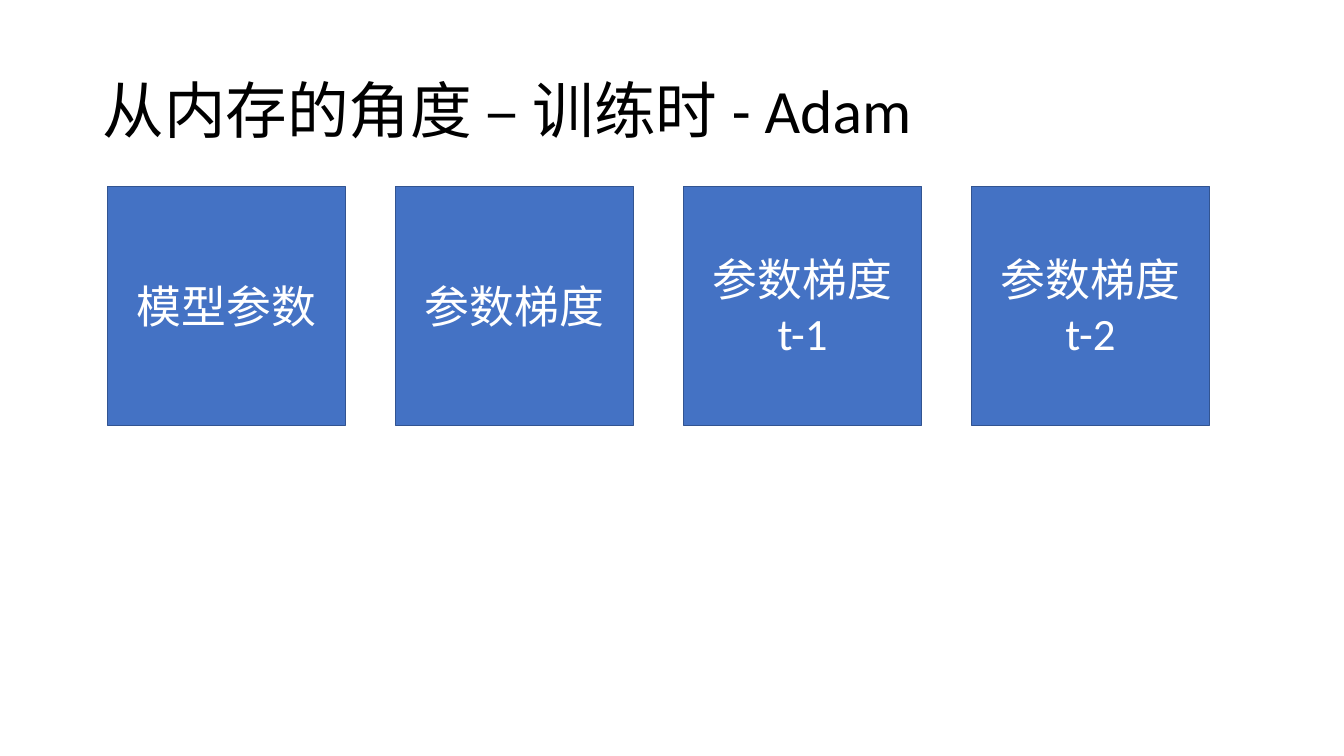
from pptx import Presentation
from pptx.dml.color import RGBColor
from pptx.enum.shapes import MSO_SHAPE
from pptx.enum.text import MSO_ANCHOR, PP_ALIGN
from pptx.util import Pt

COLORS = {"title": "000000", "block": "4472C4", "border": "325491", "label": "FFFFFF"}
TITLE_FORMAT = {"alignment": PP_ALIGN.LEFT, "line_spacing": 0.9}
LABEL_FORMAT = {"alignment": PP_ALIGN.CENTER}
MEMORY_PARTS = ["模型参数", "参数梯度", "参数梯度\nt-1", "参数梯度\nt-2"]
FIRST_LEFT, BLOCK_TOP = 76.8, 133.2
BLOCK_WIDTH, BLOCK_HEIGHT = 170.2, 170.6
BLOCK_PITCH = 205.7


def color(name):
    return RGBColor.from_string(COLORS[name])


def apply_format(target, values):
    for attribute, value in values.items():
        setattr(target, attribute, value)


def write_text(frame, text, size, color_name, paragraph_format):
    apply_format(frame, {"text": text, "word_wrap": True,
                         "vertical_anchor": MSO_ANCHOR.MIDDLE})
    for paragraph in frame.paragraphs:
        apply_format(paragraph, paragraph_format)
        for run in paragraph.runs:
            apply_format(run.font, {"name": "Calibri", "size": Pt(size)})
            run.font.color.rgb = color(color_name)


def add_title(slide, text):
    title = slide.shapes.title
    apply_format(title, {"left": Pt(66), "top": Pt(28.75),
                         "width": Pt(828), "height": Pt(104.4)})
    write_text(title.text_frame, text, 44, "title", TITLE_FORMAT)


def add_memory_block(slide, left, label):
    block = slide.shapes.add_shape(MSO_SHAPE.RECTANGLE, Pt(left), Pt(BLOCK_TOP),
                                   Pt(BLOCK_WIDTH), Pt(BLOCK_HEIGHT))
    block.shadow.inherit = False
    block.fill.solid()
    block.fill.fore_color.rgb = color("block")
    block.line.color.rgb = color("border")
    block.line.width = Pt(1)
    write_text(block.text_frame, label, 32, "label", LABEL_FORMAT)


def main():
    presentation = Presentation()
    apply_format(presentation, {"slide_width": Pt(960), "slide_height": Pt(540)})
    slide = presentation.slides.add_slide(presentation.slide_layouts[5])
    add_title(slide, "从内存的角度 – 训练时 - Adam")
    for index, label in enumerate(MEMORY_PARTS):
        add_memory_block(slide, FIRST_LEFT + index * BLOCK_PITCH, label)
    presentation.save("out.pptx")


if __name__ == "__main__":
    main()
